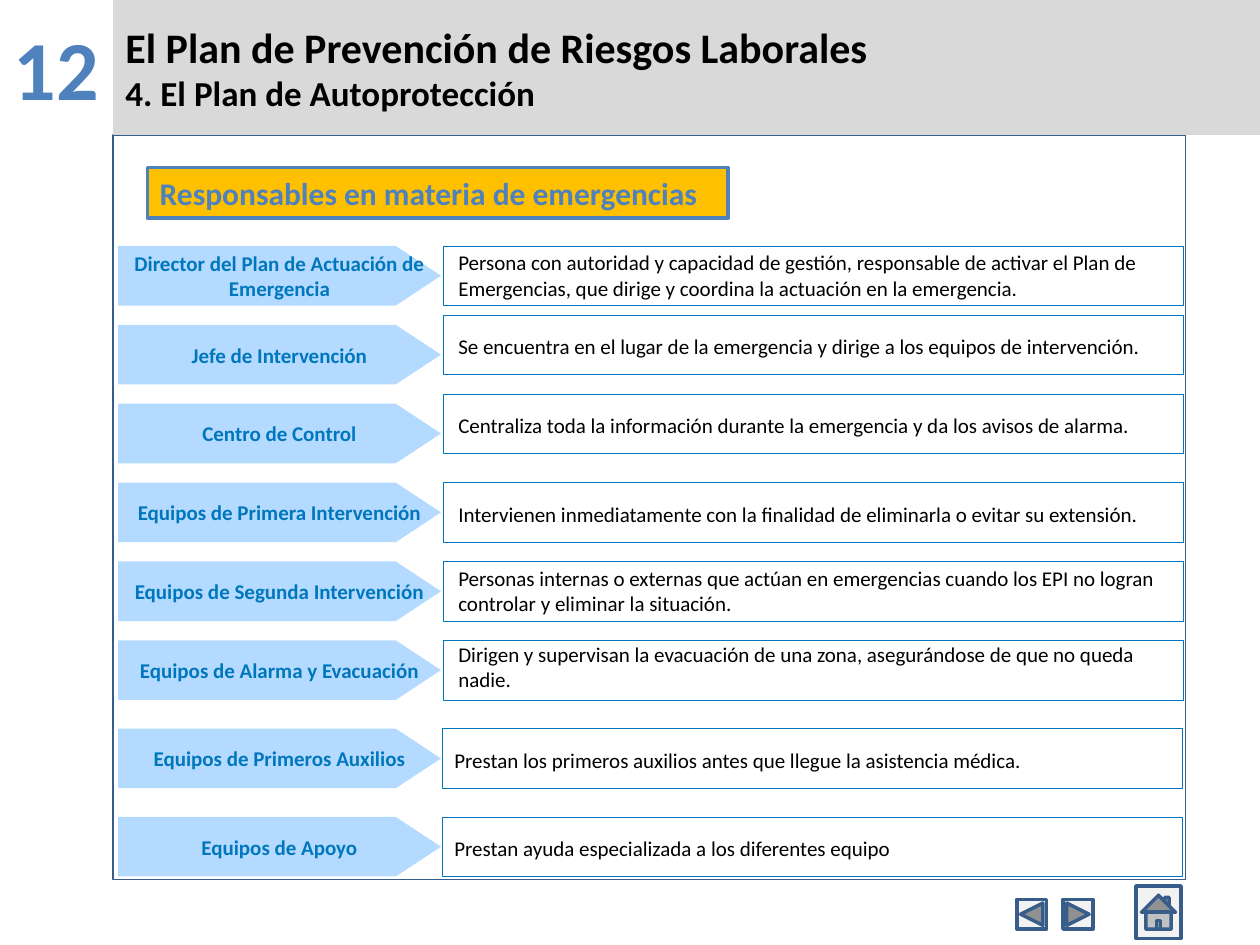
from lxml.etree import SubElement
from pptx import Presentation
from pptx.dml.color import RGBColor
from pptx.enum.shapes import MSO_SHAPE
from pptx.enum.text import MSO_ANCHOR, PP_ALIGN
from pptx.oxml.ns import qn
from pptx.util import Cm, Pt

COLORS = {
    "accent": "4F81BD",
    "frame": "385D8A",
    "band": "D9D9D9",
    "button": "F2F2F2",
    "heading": "FFC000",
    "arrow": "99CCFF",
    "role": "0077BD",
    "text": "000000",
}
FIRST_ROW, ROW_HEIGHT = 4.96, 1.2
ROW_STEP, WIDE_STEP, WIDE_FROM = 1.59, 1.78, 6

RESPONSIBLES = [
    ("Director del Plan de Actuación de Emergencia",
     "Persona con autoridad y capacidad de gestión, responsable de activar el Plan de "
     "Emergencias, que dirige y coordina la actuación en la emergencia.", 0, 0.1),
    ("Jefe de Intervención",
     "Se encuentra en el lugar de la emergencia y dirige a los equipos de intervención.",
     0.2, 0.2),
    ("Centro de Control",
     "Centraliza toda la información durante la emergencia y da los avisos de alarma.",
     0.2, 0.2),
    ("Equipos de Primera Intervención",
     "Intervienen inmediatamente con la finalidad de eliminarla o evitar su extensión.",
     0, 0.2),
    ("Equipos de Segunda Intervención",
     "Personas internas o externas que actúan en emergencias cuando los EPI no logran "
     "controlar y eliminar la situación.", 0, 0.1),
    ("Equipos de Alarma y Evacuación",
     "Dirigen y supervisan la evacuación de una zona, asegurándose de que no queda nadie.",
     0, 0),
    ("Equipos de Primeros Auxilios",
     "Prestan los primeros auxilios antes que llegue la asistencia médica.", 0, 0.2),
    ("Equipos de Apoyo",
     "Prestan ayuda especializada a los diferentes equipo", 0, 0.2),
]


def rgb(name):
    return RGBColor.from_string(COLORS[name])


def paint(shape, fill=None, line=None, weight=0):
    shape.shadow.inherit = False
    if fill:
        shape.fill.solid()
        shape.fill.fore_color.rgb = rgb(fill)
    else:
        shape.fill.background()
    if line:
        shape.line.color.rgb = rgb(line)
        shape.line.width = Pt(weight)
    else:
        shape.line.fill.background()


def write(shape, text, sizes, color, bold=False, align=PP_ALIGN.LEFT,
          anchor=MSO_ANCHOR.MIDDLE, insets=(0.25, 0.13, 0.25, 0.13)):
    frame = shape.text_frame
    frame.word_wrap = True
    frame.vertical_anchor = anchor
    (frame.margin_left, frame.margin_top,
     frame.margin_right, frame.margin_bottom) = map(Cm, insets)
    frame.text = text
    for paragraph, size in zip(frame.paragraphs, sizes):
        paragraph.alignment = align
        for run in paragraph.runs:
            run.font.name = "Calibri"
            run.font.size = Pt(size)
            run.font.bold = bold
            run.font.color.rgb = rgb(color)


def add_box(slide, left, top, width, height, kind=MSO_SHAPE.RECTANGLE, **style):
    box = slide.shapes.add_shape(kind, Cm(left), Cm(top), Cm(width), Cm(height))
    paint(box, **style)
    return box


def add_role_arrow(slide, top, role):
    left, shoulder, tip = 2.38, 7.98, 8.89
    bottom = top + ROW_HEIGHT
    outline = slide.shapes.build_freeform(Cm(left), Cm(top))
    corners = [(shoulder, top), (tip, top + ROW_HEIGHT / 2), (shoulder, bottom), (left, bottom)]
    outline.add_line_segments([(Cm(x), Cm(y)) for x, y in corners], close=True)
    arrow = outline.convert_to_shape()
    paint(arrow, fill="arrow")
    tint = arrow.element.spPr.find(qn("a:solidFill"))[0]
    SubElement(tint, qn("a:alpha"), val="72000")
    write(arrow, role, [12], "role", bold=True, align=PP_ALIGN.CENTER)


def add_duty(slide, top, duty, inset_top, wide):
    left, inset_left, inset_right = (8.91, 0.25, 0.25) if wide else (8.94, 0.3, 0.05)
    box = add_box(slide, left, top, 14.92, ROW_HEIGHT, line="role", weight=0.25)
    write(box, duty, [12], "text", insets=(inset_left, inset_top, inset_right, 0.13))


def add_header(slide):
    number = slide.shapes.add_textbox(Cm(0), Cm(0), Cm(2.28), Cm(2.54))
    write(number, "12", [48], "accent", bold=True, align=PP_ALIGN.CENTER,
          anchor=MSO_ANCHOR.TOP, insets=(0.25, 0.33, 0.25, 0.13))
    band = add_box(slide, 2.28, 0, 23.12, 2.72, fill="band")
    write(band, "El Plan de Prevención de Riesgos Laborales\n4. El Plan de Autoprotección",
          [24, 20], "text", bold=True)


def add_navigation(slide):
    buttons = [
        (MSO_SHAPE.ACTION_BUTTON_BACK_OR_PREVIOUS, 20.5, 18.13, 0.6, 0.6),
        (MSO_SHAPE.ACTION_BUTTON_FORWARD_OR_NEXT, 21.43, 18.13, 0.6, 0.6),
        (MSO_SHAPE.ACTION_BUTTON_HOME, 22.9, 17.86, 0.91, 1.06),
    ]
    for kind, *place in buttons:
        add_box(slide, *place, kind=kind, fill="button", line="frame", weight=2)


def main():
    prs = Presentation()
    prs.slide_width, prs.slide_height = Cm(25.4), Cm(19.05)
    slide = prs.slides.add_slide(prs.slide_layouts[6])

    add_box(slide, 2.28, 2.72, 21.62, 15.01, line="frame", weight=0.75)
    add_header(slide)
    add_navigation(slide)
    heading = add_box(slide, 2.97, 3.38, 11.71, 1.02, fill="heading", line="accent", weight=2)
    write(heading, "Responsables en materia de emergencias", [18], "accent",
          bold=True, anchor=MSO_ANCHOR.TOP)

    top = FIRST_ROW
    for row, (role, duty, lift, inset_top) in enumerate(RESPONSIBLES):
        wide = row >= WIDE_FROM
        if row:
            top += WIDE_STEP if wide else ROW_STEP
        add_role_arrow(slide, top, role)
        add_duty(slide, top - lift, duty, inset_top, wide)

    prs.save("out.pptx")


if __name__ == "__main__":
    main()
